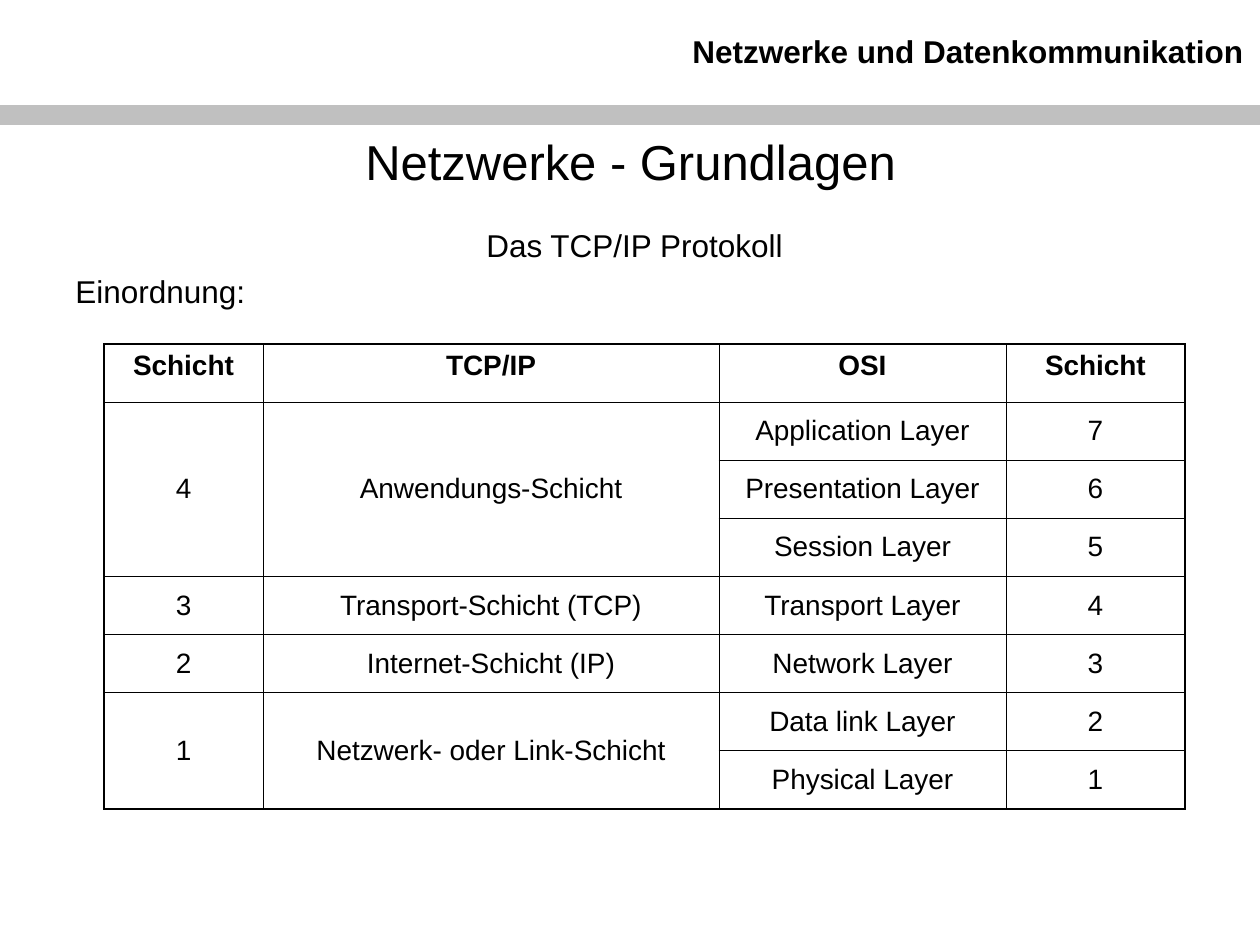
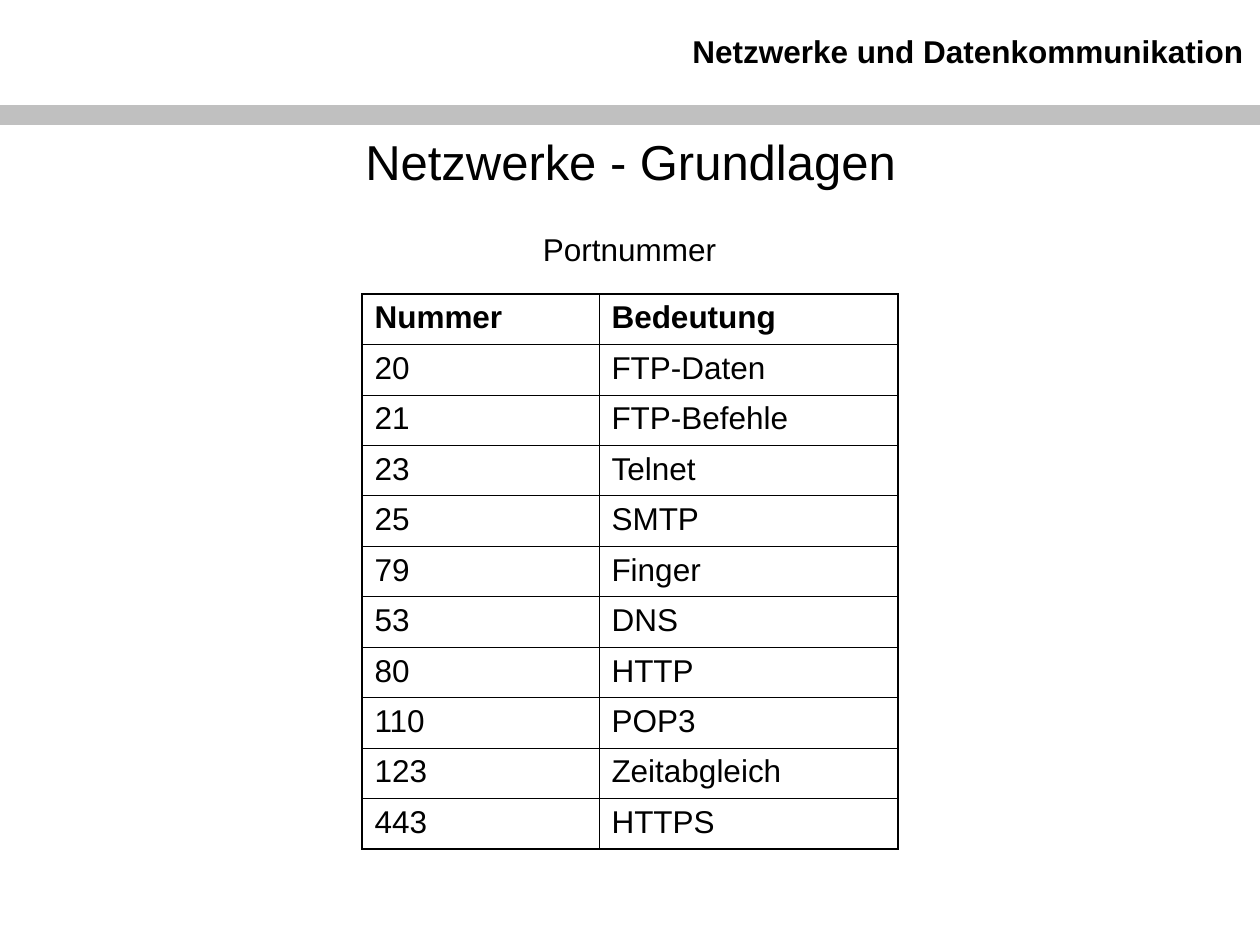
from lxml import etree
from pptx import Presentation
from pptx.dml.color import RGBColor
from pptx.enum.shapes import MSO_SHAPE
from pptx.enum.text import MSO_ANCHOR as ANCHOR, MSO_AUTO_SIZE as FIT, PP_ALIGN as ALIGN
from pptx.oxml.ns import qn
from pptx.util import Pt

HEADER = "Netzwerke und Datenkommunikation"
SLIDES = [
    {
        "title": "Netzwerke - Grundlagen",
        "body": [("Das TCP/IP Protokoll", ALIGN.CENTER), ("Einordnung:", ALIGN.LEFT)],
        "body_box": (63, 220, 1143, 624),
        "table_at": (104, 344),
        "table_height": 465,
        "cols": (159, 456, 287, 179),
        "size": 16,
        "align": ALIGN.CENTER,
        "anchor": ANCHOR.MIDDLE,
        "rows": [
            ("Schicht", "TCP/IP", "OSI", "Schicht"),
            ("4", "Anwendungs-Schicht", "Application Layer", "7"),
            (None, None, "Presentation Layer", "6"),
            (None, None, "Session Layer", "5"),
            ("3", "Transport-Schicht (TCP)", "Transport Layer", "4"),
            ("2", "Internet-Schicht (IP)", "Network Layer", "3"),
            ("1", "Netzwerk- oder Link-Schicht", "Data link Layer", "2"),
            (None, None, "Physical Layer", "1"),
        ],
    },
    {
        "title": "Netzwerke - Grundlagen",
        "body": [("Portnummer", ALIGN.CENTER)],
        "body_box": (63, 224, 1133, 634),
        "table_at": (362, 294),
        "table_height": 555,
        "cols": (237, 299),
        "size": 18,
        "align": ALIGN.LEFT,
        "anchor": ANCHOR.TOP,
        "rows": [
            ("Nummer", "Bedeutung"),
            ("20", "FTP-Daten"),
            ("21", "FTP-Befehle"),
            ("23", "Telnet"),
            ("25", "SMTP"),
            ("79", "Finger"),
            ("53", "DNS"),
            ("80", "HTTP"),
            ("110", "POP3"),
            ("123", "Zeitabgleich"),
            ("443", "HTTPS"),
        ],
    },
]

FONT = "Arial"
BLACK = RGBColor(0x00, 0x00, 0x00)
GREY = RGBColor(0xC0, 0xC0, 0xC0)
OUTER, INNER = 1.08, 0.45
NO_STYLE = "{2D5ABB26-0587-4C30-8999-92F81FD0307C}"
TITLE_ONLY = 5


def px(n):
    return round(n * 914400 / 126)


def box(*lengths):
    return [px(n) for n in lengths]


def write(p, text, size=18, bold=False, align=ALIGN.LEFT, before=0):
    p.alignment = align
    p.space_before = Pt(before)
    r = p.add_run()
    r.text = text
    r.font.name, r.font.size, r.font.bold = FONT, Pt(size), bold
    r.font.color.rgb = BLACK


def add_text(slide, at, paragraphs, **fmt):
    tf = slide.shapes.add_textbox(*box(*at)).text_frame
    tf.word_wrap = True
    for i, (text, align) in enumerate(paragraphs):
        p = tf.add_paragraph() if i else tf.paragraphs[0]
        write(p, text, align=align, before=4.5 if i else 0, **fmt)


def add_frame(slide, title):
    band = slide.shapes.add_shape(MSO_SHAPE.RECTANGLE, *box(0, 105, 1260, 20))
    band.shadow.inherit = False
    band.fill.solid()
    band.fill.fore_color.rgb = GREY
    band.line.fill.background()
    add_text(slide, (522, 26, 734, 50), [(HEADER, ALIGN.RIGHT)], bold=True)
    sp = slide.shapes.title
    sp.left, sp.top, sp.width, sp.height = box(64, 125, 1133, 71)
    tf = sp.text_frame
    tf.auto_size = FIT.NONE
    tf.vertical_anchor = ANCHOR.MIDDLE
    write(tf.paragraphs[0], title, size=28, align=ALIGN.CENTER)


def set_borders(cell, outer_sides):
    tcPr = cell._tc.get_or_add_tcPr()
    for i, side in enumerate(("lnL", "lnR", "lnT", "lnB")):
        width = OUTER if side in outer_sides else INNER
        ln = etree.Element(qn(f"a:{side}"), w=str(Pt(width)))
        fill = etree.SubElement(ln, qn("a:solidFill"))
        etree.SubElement(fill, qn("a:srgbClr"), val=str(BLACK))
        tcPr.insert(i, ln)


def add_grid(slide, data):
    rows, cols = data["rows"], data["cols"]
    n_rows, n_cols = len(rows), len(cols)
    size = (sum(cols), data["table_height"])
    table = slide.shapes.add_table(n_rows, n_cols, *box(*data["table_at"], *size)).table
    table._tbl.tblPr.find(qn("a:tableStyleId")).text = NO_STYLE
    table.first_row = table.horz_banding = False
    for column, width in zip(table.columns, cols):
        column.width = px(width)
    for row in table.rows:
        row.height = px(data["table_height"] / n_rows)
    for i, texts in enumerate(rows):
        for j, text in enumerate(texts):
            if text is None:
                continue
            end = i + 1
            while end < n_rows and rows[end][j] is None:
                end += 1
            cell = table.cell(i, j)
            if end > i + 1:
                cell.merge(table.cell(end - 1, j))
            cell.fill.background()
            cell.vertical_anchor = data["anchor"] if i else ANCHOR.TOP
            write(cell.text_frame.paragraphs[0], text, size=data["size"],
                  bold=i == 0, align=data["align"])
            edges = {"lnL": j == 0, "lnR": j == n_cols - 1,
                     "lnT": i == 0, "lnB": end == n_rows}
            set_borders(cell, [side for side, outer in edges.items() if outer])


def main():
    prs = Presentation()
    prs.slide_width, prs.slide_height = box(1260, 945)
    for data in SLIDES:
        slide = prs.slides.add_slide(prs.slide_layouts[TITLE_ONLY])
        add_frame(slide, data["title"])
        add_text(slide, data["body_box"], data["body"])
        add_grid(slide, data)
    prs.save("out.pptx")


if __name__ == "__main__":
    main()
